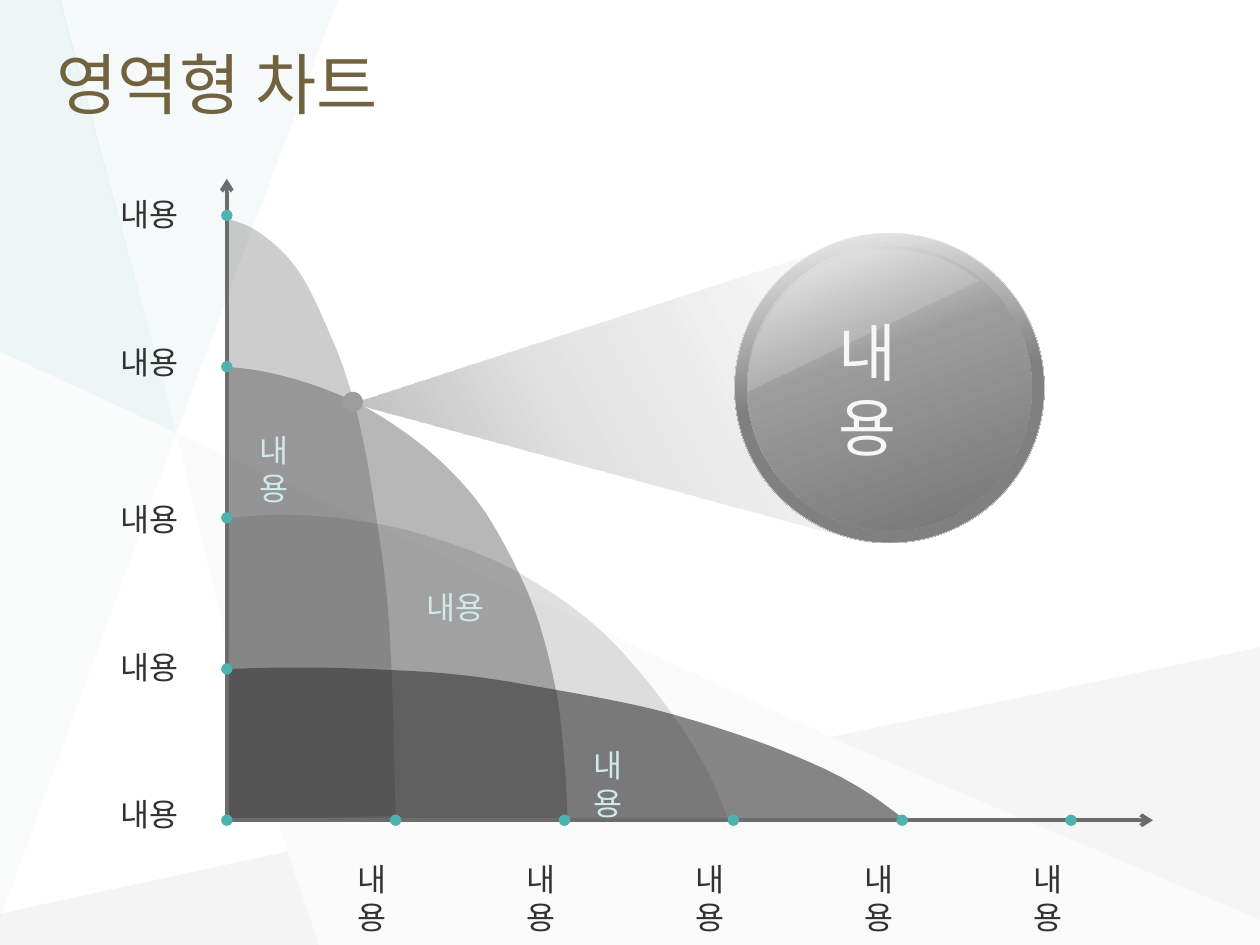
from dataclasses import dataclass

from lxml.etree import SubElement as Sub
from pptx import Presentation
from pptx.dml.color import RGBColor as RGB
from pptx.enum.shapes import MSO_CONNECTOR as Link, MSO_SHAPE as Kind
from pptx.enum.text import MSO_ANCHOR as Anchor, MSO_AUTO_SIZE as Fit, PP_ALIGN as Align
from pptx.oxml.ns import qn
from pptx.util import Inches as In, Pt

WIDE, HIGH = 10, 7.5
# Chart grid: origin at the lower left, one cell per axis mark
LEFT, BASE, COL, ROW = 1.8, 6.51, 1.34, 1.2


@dataclass(frozen=True)
class Theme:
    font: str = "Arial"
    title: str = "716340"
    ink: str = "323232"
    pale: str = "D0EAEA"
    white: str = "F7F7F7"
    axis: str = "6C6C6C"
    dot: str = "4EB2AF"
    gray: str = "9D9C9C"
    head: int = 38
    big: int = 36
    body: int = 18


T = Theme()
WORD = "내용"

# Backdrop facets as percent of the slide: colour, opacity, corners
HUB, KNEE, FOOT = (14, 45.8), (65.9, 78), (22.8, 90.1)
FACETS = [
    ("F3F2F2", 26, [HUB, (18, 68), FOOT, KNEE]),
    ("B6B8BA", 15, [FOOT, (0, 96.7), (0, 100), (25.3, 100)]),
    ("E0EDED", 31, [(26.8, 0), (4.7, 0), HUB]),
    ("C6C8CA", 17, [(100, 68.5), KNEE, (100, 97.3)]),
    ("B6B8BA", 6, [KNEE, FOOT, (25.3, 100), (100, 100), (100, 97.3)]),
    ("C1DBDB", 27, [(4.8, 0), (0, 0), (0, 37.2), HUB]),
    ("C1DBDB", 8, [(0, 37.2), (0, 97.3), HUB]),
]

# Areas: opacity and the knots of the upper edge, in columns and rows
AREAS = [
    (15, [(0, 2), (.3, 2.02), (.64, 2), (1.06, 1.92), (1.52, 1.75), (1.86, 1.55),
          (2.19, 1.28), (2.49, .92), (2.73, .55), (2.88, .25), (2.97, 0)]),
    (35, [(0, 3), (.25, 2.96), (.56, 2.86), (.87, 2.7), (1.2, 2.44), (1.47, 2.13),
          (1.66, 1.79), (1.83, 1.37), (1.95, .86), (2, .39), (2.02, 0)]),
    (24, [(0, 3.98), (.16, 3.91), (.33, 3.76), (.46, 3.57), (.59, 3.27), (.71, 2.93),
          (.81, 2.5), (.89, 1.97), (.95, 1.46), (.98, .88), (1, .03)]),
    (58, [(0, 1), (.37, 1.01), (.84, 1), (1.39, .96), (1.96, .86), (2.54, .73),
          (3.07, .55), (3.48, .37), (3.77, .2), (4.02, 0)]),
]


def spot(col, row):
    """Turn a grid place into inches."""
    return LEFT + col * COL, BASE - row * ROW


def paint(shape, *stops, angle=0):
    """Fill with one (place, colour, opacity) stop, or a gradient of several."""
    shape.shadow.inherit = False
    shape.line.fill.background()
    shape.fill.solid()
    shape.fill.fore_color.rgb = RGB.from_string(stops[0][1])
    props = shape._element.spPr
    solid = props.find(qn("a:solidFill"))
    if len(stops) == 1:
        tint(solid[0], stops[0][2])
        return
    grad = props.makeelement(qn("a:gradFill"), {"rotWithShape": "1"})
    props.replace(solid, grad)
    ramp = Sub(grad, qn("a:gsLst"))
    for place, color, alpha in stops:
        stop = Sub(ramp, qn("a:gs"), pos=str(place * 1000))
        tint(Sub(stop, qn("a:srgbClr"), val=color), alpha)
    Sub(grad, qn("a:lin"), ang=str(angle * 60000), scaled="0")


def tint(node, alpha):
    if alpha < 100:
        Sub(node, qn("a:alpha"), val=str(alpha * 1000))


def poly(slide, points):
    """Draw a closed outline through points in inches."""
    first, *rest = [(x * 1000, y * 1000) for x, y in points]
    pen = slide.shapes.build_freeform(*first, scale=In(1) / 1000)
    pen.add_line_segments(rest, close=True)
    return pen.convert_to_shape()


def smooth(knots, steps=6):
    """Pass a Catmull-Rom curve through the knots."""
    ends = [knots[0], *knots, knots[-1]]
    curve = []
    for a, b, c, d in zip(ends, ends[1:], ends[2:], ends[3:]):
        for t in (i / steps for i in range(steps)):
            curve.append(tuple(
                q + t * (r - p) / 2 + t**2 * (2 * p - 5 * q + 4 * r - s) / 2
                + t**3 * (3 * q - p - 3 * r + s) / 2
                for p, q, r, s in zip(a, b, c, d)))
    return curve + [knots[-1]]


def area(slide, alpha, knots):
    edge = [spot(*p) for p in smooth(knots)]
    paint(poly(slide, [spot(0, 0), *edge]), (0, T.ink, alpha))


def disc(slide, mid, size, *stops, angle=0, kind=Kind.OVAL):
    x, y = (v - size / 2 for v in mid)
    shape = slide.shapes.add_shape(kind, In(x), In(y), In(size), In(size))
    paint(shape, *stops, angle=angle)
    return shape


def axis(slide, tip, end):
    line = slide.shapes.add_connector(Link.STRAIGHT, *map(In, tip + end))
    line.line.color.rgb = RGB.from_string(T.axis)
    line.line.width = Pt(2.25)
    Sub(line.line._get_or_add_ln(), qn("a:headEnd"), type="arrow")
    Sub(line._element.spPr, qn("a:effectLst"))


def write(frame, text, size=T.body, color=T.ink, anchor=Anchor.TOP, wrap=True):
    frame.word_wrap = wrap
    frame.vertical_anchor = anchor
    para = frame.paragraphs[0]
    para.alignment = Align.LEFT
    run = para.add_run()
    run.text = text
    run.font.name, run.font.size = T.font, Pt(size)
    run.font.color.rgb = RGB.from_string(color)


def label(slide, x, y, wide=.65, high=.4, **form):
    box = slide.shapes.add_textbox(In(x), In(y), In(wide), In(high))
    write(box.text_frame, WORD, **form)
    box.text_frame.auto_size = Fit.SHAPE_TO_FIT_TEXT


def head(slide, text):
    title = slide.shapes.title
    title.left, title.top, title.width, title.height = map(In, (.35, .14, 9.27, 1.03))
    write(title.text_frame, text, size=T.head, color=T.title, anchor=Anchor.MIDDLE)
    slide.shapes._spTree.append(title._element)  # bring above the backdrop


def lens(slide):
    """Cone of light, glass disc and the point it enlarges."""
    mid, tip = (7.06, 3.08), (2.8, 3.2)
    cone = poly(slide, [(6.91, 4.31), tip, (6.9, 1.87)])
    paint(cone, (0, T.gray, 75), (40, T.gray, 30), (100, T.gray, 0), angle=332)
    rim = disc(slide, mid, 2.46, (0, "F2F2F2", 100), (50, "808080", 100),
               (100, "808080", 100), angle=80)
    rim.line.color.rgb = RGB.from_string("F2F2F2")
    rim.line.width = Pt(.25)
    disc(slide, mid, 2.26, (0, "F5F5F5", 100), (40, T.gray, 100),
         (100, "767575", 100), angle=70)
    shine = disc(slide, (7.06, 3.11), 2.26, (0, "EBEBEB", 20), kind=Kind.CHORD)
    shine.adjustments[0], shine.adjustments[1] = 53.95, 131.3
    shine.rotation = 90
    disc(slide, (2.8, 3.19), .16, (0, T.gray, 100))
    label(slide, 6.56, 2.73, 1.1, .71, size=T.big, color=T.white, anchor=Anchor.MIDDLE)


def main():
    deck = Presentation()
    deck.slide_width, deck.slide_height = In(WIDE), In(HIGH)
    slide = deck.slides.add_slide(deck.slide_layouts[5])

    # Backdrop and title
    for color, alpha, marks in FACETS:
        shape = poly(slide, [(x * WIDE / 100, y * HIGH / 100) for x, y in marks])
        paint(shape, (0, color, alpha))
    head(slide, "영역형 차트")

    # Areas, axes and axis marks
    for alpha, knots in AREAS:
        area(slide, alpha, knots)
    axis(slide, (LEFT, 1.42), (LEFT, BASE))
    axis(slide, (9.15, BASE), (LEFT, BASE))
    for place in [(0, n) for n in range(4, -1, -1)] + [(n, 0) for n in range(1, 6)]:
        disc(slide, spot(*place), .09, (0, T.dot, 100))

    # Labels: inside the areas, up the side, along the foot
    label(slide, 1.96, 3.37, color=T.pale)
    label(slide, 3.29, 4.62, wide=.66, color=T.pale, wrap=False)
    label(slide, 4.61, 5.87, color=T.pale)
    for top in (1.5, 2.67, 3.92, 5.09, 6.26):
        label(slide, .86, top, wide=.66, wrap=False)
    for n in range(5):
        label(slide, 2.74 + n * COL, 6.78)

    lens(slide)
    deck.save("out.pptx")


if __name__ == "__main__":
    main()
